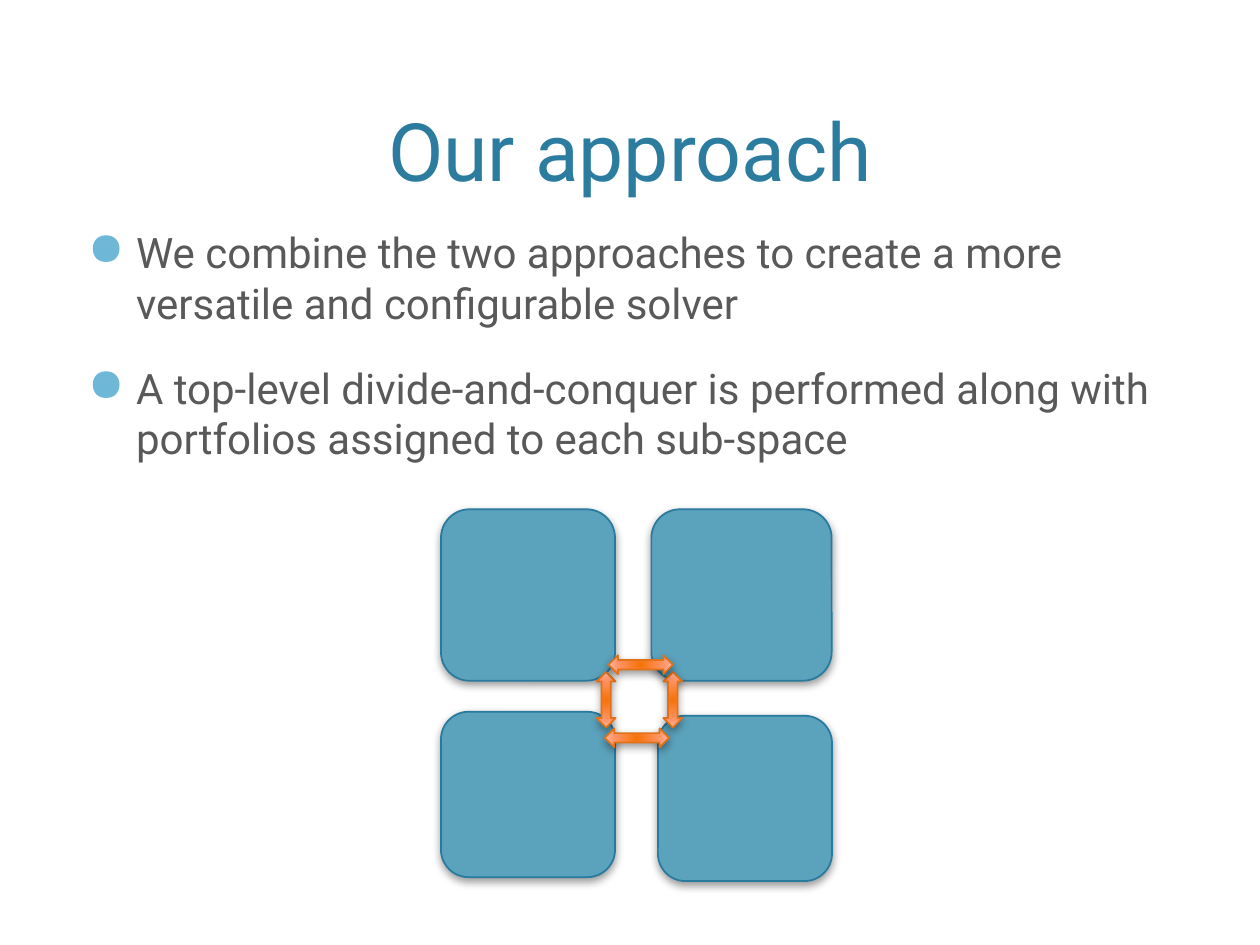
import pptx
import pptx.dml.color
import pptx.enum.shapes
import pptx.enum.text
import pptx.oxml
import pptx.oxml.ns
import pptx.util
from dataclasses import dataclass

Pt = pptx.util.Pt
RGBColor = pptx.dml.color.RGBColor
Shapes = pptx.enum.shapes.MSO_SHAPE


@dataclass
class Theme:
    font: str = "Roboto"
    title_size: float = 46
    body_size: float = 24
    title: str = "2C7C9F"
    body: str = "595959"
    bullet: str = "6FB7D7"
    tile: str = "5BA2BC"
    tile_line: str = "287A9E"
    arrow_line: str = "E27218"
    arrow_stops: tuple = ((0, "F67309"), (69, "FF9569"), (100, "FEC3B0"))
    shadow: str = "000000"


theme = Theme()
namespace = pptx.oxml.ns.nsdecls("a")


def add_shadowed_shape(kind, box, fill, line):
    shape = slide.shapes.add_shape(kind, *[Pt(value) for value in box])
    shape.fill.solid()
    shape.fill.fore_color.rgb = RGBColor.from_string(fill)
    shape.line.color.rgb = RGBColor.from_string(line)
    shape.line.width = Pt(1)
    shape.shadow.inherit = False
    effects = shape._element.spPr.find(pptx.oxml.ns.qn("a:effectLst"))
    effects.append(pptx.oxml.parse_xml(
        f'<a:outerShdw {namespace} blurRad="{Pt(5)}" dist="{Pt(2)}" dir="5400000" rotWithShape="0">'
        f'<a:srgbClr val="{theme.shadow}"><a:alpha val="40000"/></a:srgbClr></a:outerShdw>'))
    return shape


def style_text(paragraph, size, color):
    paragraph.font.name = theme.font
    paragraph.font.size = Pt(size)
    paragraph.font.color.rgb = RGBColor.from_string(color)


presentation = pptx.Presentation()
presentation.slide_width = Pt(720)
presentation.slide_height = Pt(540)
slide = presentation.slides.add_slide(presentation.slide_layouts[6])

title_frame = slide.shapes.add_textbox(Pt(43.2), Pt(8.64), Pt(633.6), Pt(105.12)).text_frame
title_frame.word_wrap = True
title_frame.vertical_anchor = pptx.enum.text.MSO_ANCHOR.BOTTOM
title_frame.margin_bottom = Pt(1)
paragraph = title_frame.paragraphs[0]
paragraph.text = "Our approach"
paragraph.alignment = pptx.enum.text.PP_ALIGN.CENTER
style_text(paragraph, theme.title_size, theme.title)

points = [
    "We combine the two approaches to create a more versatile and configurable solver",
    "A top-level divide-and-conquer is performed along with portfolios assigned to each sub-space",
]
body_frame = slide.shapes.add_textbox(Pt(43.2), Pt(126), Pt(633.6), Pt(151.2)).text_frame
body_frame.word_wrap = True
for index, point in enumerate(points):
    paragraph = body_frame.add_paragraph() if index else body_frame.paragraphs[0]
    paragraph.text = point
    if index:
        paragraph.space_before = Pt(20)
    properties = paragraph._p.get_or_add_pPr()
    properties.set("marL", str(Pt(27.5)))
    properties.set("indent", str(-Pt(27.5)))
    for bullet in (
        f'<a:buClr {namespace}><a:srgbClr val="{theme.bullet}"/></a:buClr>',
        f'<a:buSzPct {namespace} val="110000"/>',
        f'<a:buChar {namespace} char="●"/>',
    ):
        properties.append(pptx.oxml.parse_xml(bullet))
    style_text(paragraph, theme.body_size, theme.body)

tiles = [
    (252, 291, 99.5, 98),
    (372.25, 291, 103, 98),
    (252, 406.75, 99.5, 94.5),
    (376, 409, 99.5, 94.5),
]
for box in tiles:
    add_shadowed_shape(Shapes.ROUNDED_RECTANGLE, box, theme.tile, theme.tile_line)

arrows = [
    (330.5, 394.5, 31.7, 90),
    (368.6, 394.5, 31.7, 90),
    (347.75, 374.4, 36.7, 180),
    (345.6, 416.2, 36.7, 180),
]
stops = "".join(
    f'<a:gs pos="{position * 1000}"><a:srgbClr val="{color}"/></a:gs>'
    for position, color in theme.arrow_stops)
for left, top, length, rotation in arrows:
    shape = add_shadowed_shape(
        Shapes.LEFT_RIGHT_ARROW, (left, top, length, 10.8), theme.arrow_stops[0][1], theme.arrow_line)
    shape.rotation = rotation
    properties = shape._element.spPr
    properties.replace(properties.find(pptx.oxml.ns.qn("a:solidFill")), pptx.oxml.parse_xml(
        f'<a:gradFill {namespace} rotWithShape="1"><a:gsLst>{stops}</a:gsLst><a:path path="circle">'
        '<a:fillToRect l="100000" t="100000" r="100000" b="100000"/></a:path></a:gradFill>'))

presentation.save("out.pptx")
